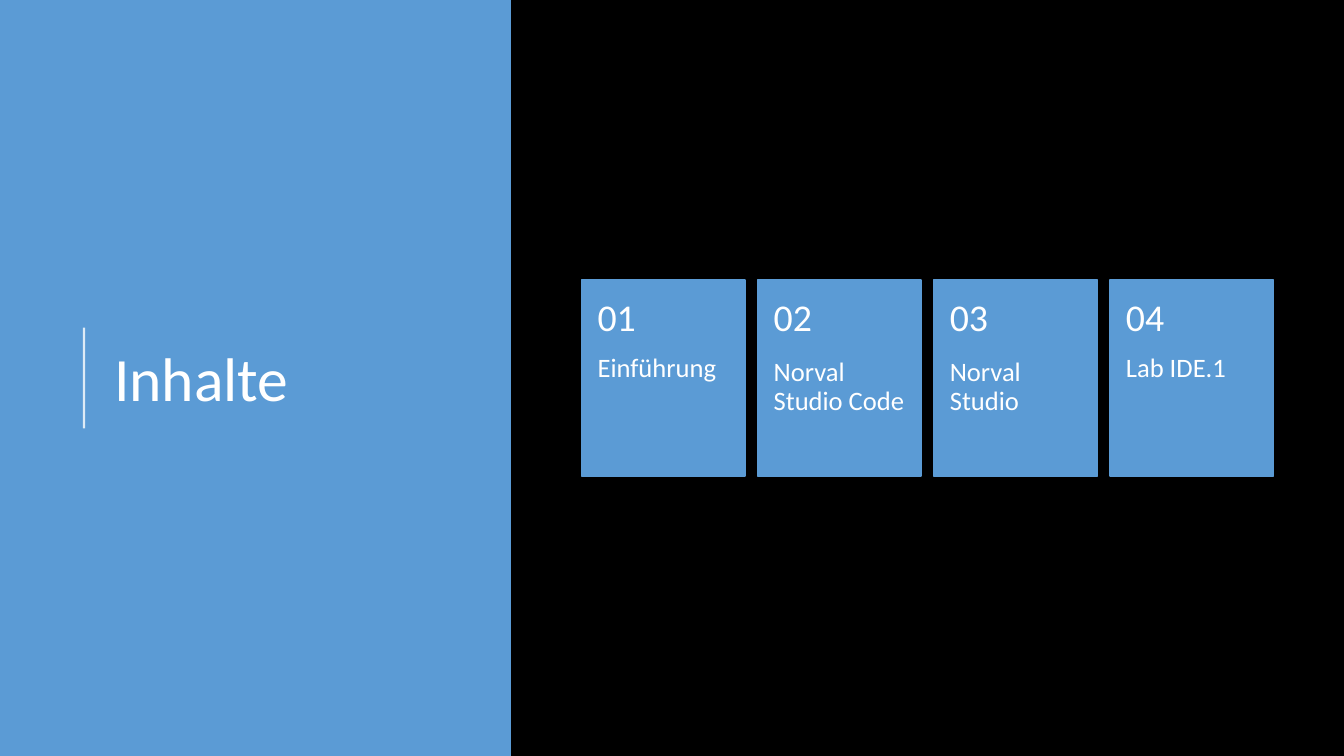
import pptx
import pptx.dml.color
import pptx.enum.shapes
import pptx.enum.text
import pptx.oxml.ns
import pptx.util
from lxml import etree

Pt = pptx.util.Pt
FONT = "Calibri"
COLOURS = {"background": "000000", "blue": "5B9BD5", "white": "FFFFFF"}
TOPICS = ["Einführung", "Norval Studio Code", "Norval Studio", "Lab IDE.1"]

SLIDE_WIDTH, SLIDE_HEIGHT = 960, 540
CARD_LEFT, CARD_TOP, CARD_PITCH = 415.4, 200, 125.8
CARD_WIDTH, CARD_HEIGHT, NUMBER_HEIGHT = 116.8, 140, 56


def colour(name):
    return pptx.dml.color.RGBColor.from_string(COLOURS[name])


def add_rectangle(shapes, left, top, width, height, outlined=False):
    shape = shapes.add_shape(pptx.enum.shapes.MSO_SHAPE.RECTANGLE,
                             Pt(left), Pt(top), Pt(width), Pt(height))
    shape.shadow.inherit = False
    shape.fill.solid()
    shape.fill.fore_color.rgb = colour("blue")
    if outlined:
        shape.line.color.rgb = colour("blue")
        shape.line.width = Pt(1)
    else:
        shape.line.fill.background()


def add_text(shapes, text, box, size, insets, anchor):
    shape = shapes.add_textbox(*[Pt(length) for length in box])
    frame = shape.text_frame
    frame.word_wrap = True
    frame.vertical_anchor = anchor
    (frame.margin_left, frame.margin_top,
     frame.margin_right, frame.margin_bottom) = [Pt(inset) for inset in insets]
    paragraph = frame.paragraphs[0]
    paragraph.line_spacing = 0.9
    run = paragraph.add_run()
    run.text = text
    run.font.name = FONT
    run.font.size = Pt(size)
    run.font.color.rgb = colour("white")


def add_accent_line(shapes, x, top, bottom):
    line = shapes.add_connector(pptx.enum.shapes.MSO_CONNECTOR.STRAIGHT,
                                Pt(x), Pt(bottom), Pt(x), Pt(top))
    line.line.color.rgb = colour("white")
    line.line.width = Pt(1.5)
    qn = pptx.oxml.ns.qn
    properties = line._element.spPr
    # Slight transparency, no shadow
    white = properties.find(".//" + qn("a:srgbClr"))
    etree.SubElement(white, qn("a:alpha")).set("val", "80000")
    etree.SubElement(properties, qn("a:effectLst"))


def add_card(shapes, left, number, topic):
    anchors = pptx.enum.text.MSO_ANCHOR
    add_rectangle(shapes, left, CARD_TOP, CARD_WIDTH, CARD_HEIGHT, outlined=True)
    add_text(shapes, topic,
             (left, CARD_TOP + NUMBER_HEIGHT, CARD_WIDTH, CARD_HEIGHT - NUMBER_HEIGHT),
             19, (11.5, 0, 11.5, 26), anchors.TOP)
    add_text(shapes, f"{number:02}", (left, CARD_TOP, CARD_WIDTH, NUMBER_HEIGHT),
             27, (11.5, 13, 11.5, 13), anchors.MIDDLE)


def main():
    presentation = pptx.Presentation()
    presentation.slide_width = Pt(SLIDE_WIDTH)
    presentation.slide_height = Pt(SLIDE_HEIGHT)
    slide = presentation.slides.add_slide(presentation.slide_layouts[6])
    slide.background.fill.solid()
    slide.background.fill.fore_color.rgb = colour("background")

    # Title panel
    add_rectangle(slide.shapes, 0, 0, 365, SLIDE_HEIGHT)
    add_accent_line(slide.shapes, 60, 234, 306)
    add_text(slide.shapes, "Inhalte", (74.4, 56, 265.6, 433.6), 44,
             (7.2, 3.6, 7.2, 3.6), pptx.enum.text.MSO_ANCHOR.MIDDLE)

    # Numbered topic cards
    cards = slide.shapes.add_group_shape()
    for index, topic in enumerate(TOPICS):
        add_card(cards.shapes, CARD_LEFT + index * CARD_PITCH, index + 1, topic)

    presentation.save("out.pptx")


main()
